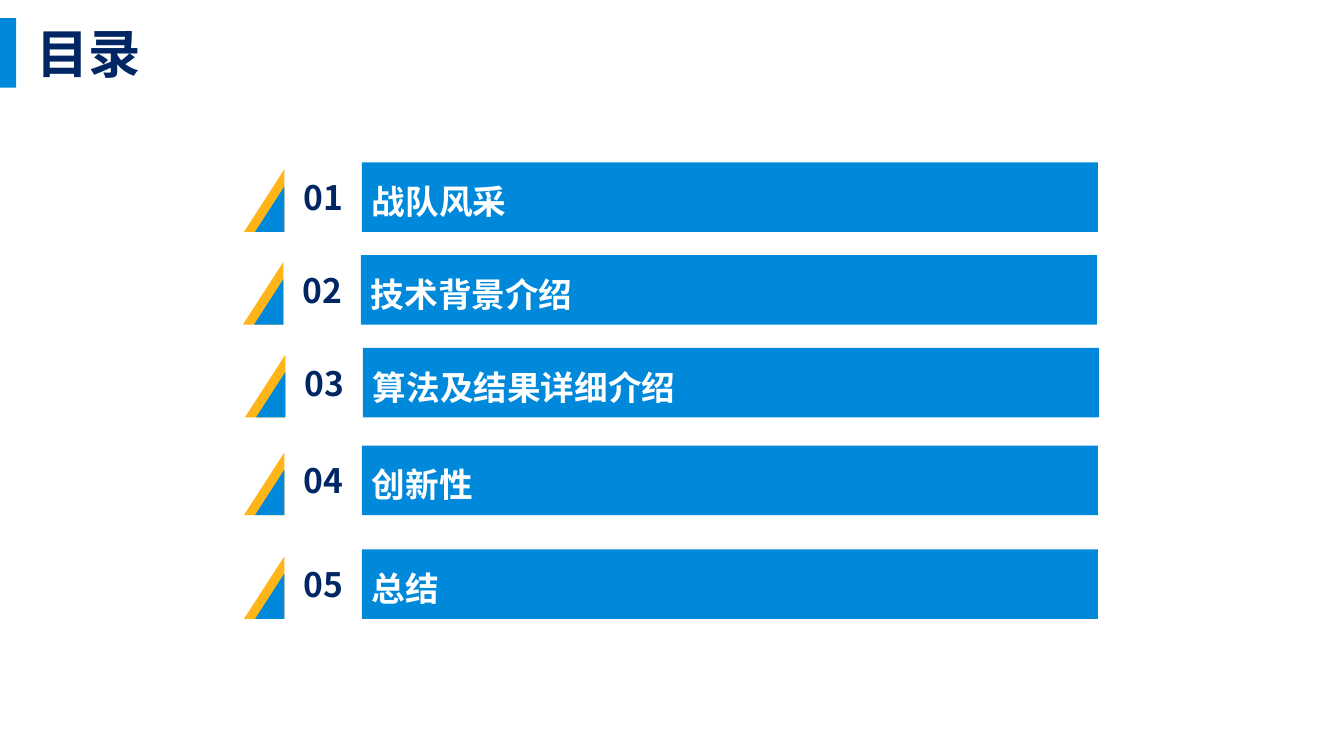
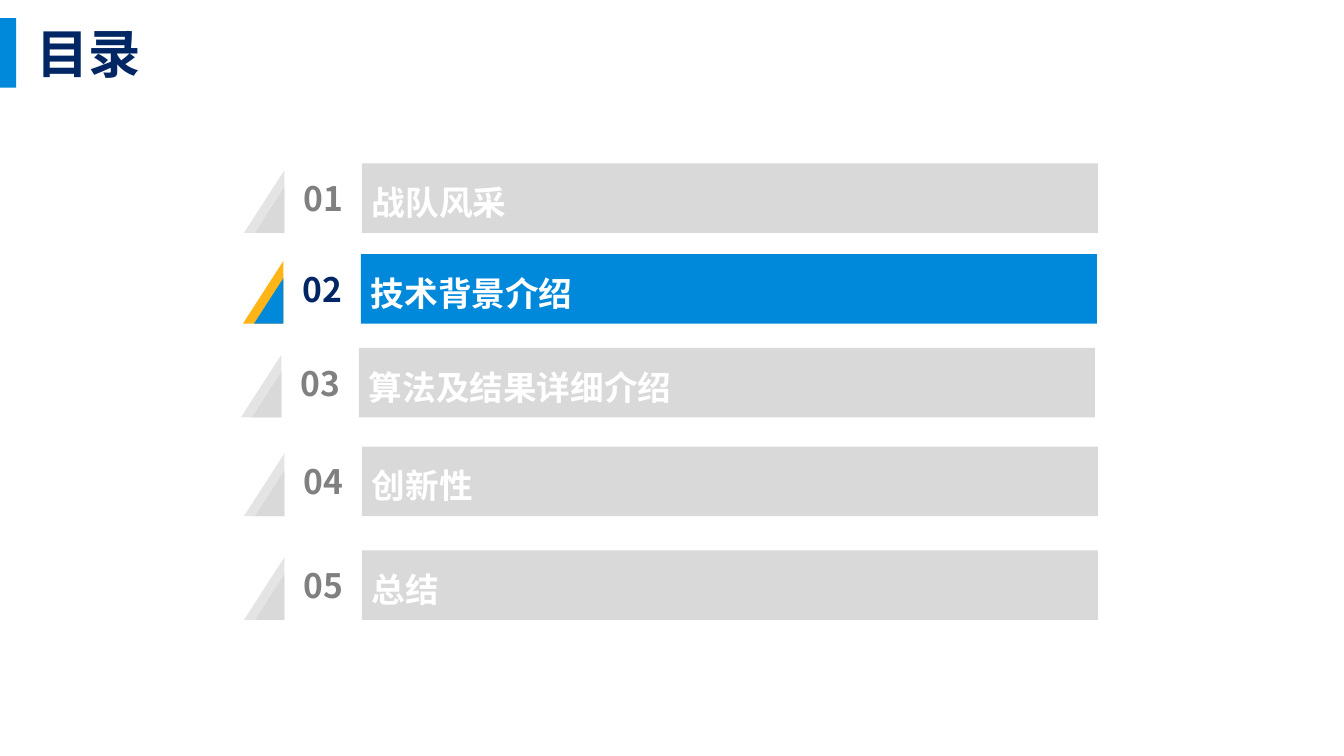
from lxml import etree
from pptx import Presentation
from pptx.dml.color import RGBColor
from pptx.enum.shapes import MSO_SHAPE
from pptx.enum.text import MSO_ANCHOR, MSO_AUTO_SIZE, PP_ALIGN
from pptx.oxml.ns import qn
from pptx.util import Pt

RECT = MSO_SHAPE.RECTANGLE
MIDDLE = MSO_ANCHOR.MIDDLE
LEFT, CENTER = PP_ALIGN.LEFT, PP_ALIGN.CENTER
NO_FIT = MSO_AUTO_SIZE.NONE

PX = 9144  # 100 px to the inch
WIDE, HIGH = 1333, 750
FONT = "Noto Sans CJK SC"
HEX = {
    "blue": "0089DB", "navy": "002664", "gold": "FFB418", "white": "FFFFFF",
    "pale": "E4E4E4", "light": "D9D9D9", "grey": "808080",
}
LIVE = {"edge": "gold", "bar": "blue", "num": "navy"}
DIM = {"edge": "pale", "bar": "light", "num": "grey"}

TITLE = "目录"
TOPICS = ["战队风采", "技术背景介绍", "算法及结果详细介绍", "创新性", "总结"]
# Left and top of each topic's bar, and the numbers of the live topics
SLIDES = [
    {"live": {1, 2, 3, 4, 5},
     "bars": [(359, 161), (358, 253), (360, 345), (359, 442), (359, 545)]},
    {"live": {2},
     "bars": [(359, 162), (358, 252), (356, 345), (359, 443), (359, 546)]},
]
BAR_W, ROW_H, NUM_W = 730, 69, 77
# Width and height of the two nested triangles
EDGE, CORE = (40, 62), (29, 45)


def px(*sizes):
    return [size * PX for size in sizes]


def paint(shape, color):
    shape.shadow.inherit = False
    shape.fill.solid()
    shape.fill.fore_color.rgb = RGBColor.from_string(HEX[color])
    shape.line.fill.background()


def write(shape, text, size, color, align=LEFT, pitch=1.0):
    frame = shape.text_frame
    frame.text = text
    frame.word_wrap = True
    frame.auto_size = NO_FIT
    frame.vertical_anchor = MIDDLE
    para = frame.paragraphs[0]
    para.alignment = align
    para.line_spacing = pitch
    para.space_before = Pt(0)
    font = para.runs[0].font
    font.size, font.bold, font.name = Pt(size), True, FONT
    font.color.rgb = RGBColor.from_string(HEX[color])
    etree.SubElement(para.runs[0]._r.rPr, qn("a:ea"), typeface=FONT)


def add_rect(shapes, box, color):
    shape = shapes.add_shape(RECT, *px(*box))
    paint(shape, color)
    return shape


def add_wedge(shapes, right, base, size, color):
    """Draw a right triangle whose square corner is at (right, base)."""
    wide, high = size
    pen = shapes.build_freeform(right, base - high, scale=PX)
    pen.add_line_segments([(right, base), (right - wide, base)], close=True)
    paint(pen.convert_to_shape(), color)


def add_row(slide, num, topic, left, top, look):
    shapes = slide.shapes.add_group_shape().shapes
    right, base = left - NUM_W, top + ROW_H
    add_wedge(shapes, right, base, EDGE, look["edge"])
    add_wedge(shapes, right, base, CORE, look["bar"])
    label = shapes.add_textbox(*px(right, top, NUM_W, ROW_H))
    frame = label.text_frame
    frame.margin_left = frame.margin_right = 0
    frame.margin_top = frame.margin_bottom = 0
    write(label, f"{num:02}", 24, look["num"], CENTER)
    bar = add_rect(shapes, (left, top, BAR_W, ROW_H), look["bar"])
    write(bar, topic, 24, "white", pitch=1.2)


def add_title(slide):
    title = slide.shapes.title
    title.left, title.top, title.width, title.height = px(26, 18, 1102, 69)
    write(title, TITLE, 37.4, "navy")


def main():
    deck = Presentation()
    deck.slide_width, deck.slide_height = px(WIDE, HIGH)
    layout = deck.slide_layouts[5]
    for index, plan in enumerate(SLIDES):
        slide = deck.slides.add_slide(layout)
        if index == 0:
            # The band moves to the layout, so every slide shows it
            band = add_rect(slide.shapes, (0, 18, 16, 69), "blue")
            layout.shapes.element.append(band.element)
        add_title(slide)
        rows = zip(TOPICS, plan["bars"])
        for num, (topic, (left, top)) in enumerate(rows, 1):
            look = LIVE if num in plan["live"] else DIM
            add_row(slide, num, topic, left, top, look)
    deck.save("out.pptx")


if __name__ == "__main__":
    main()
